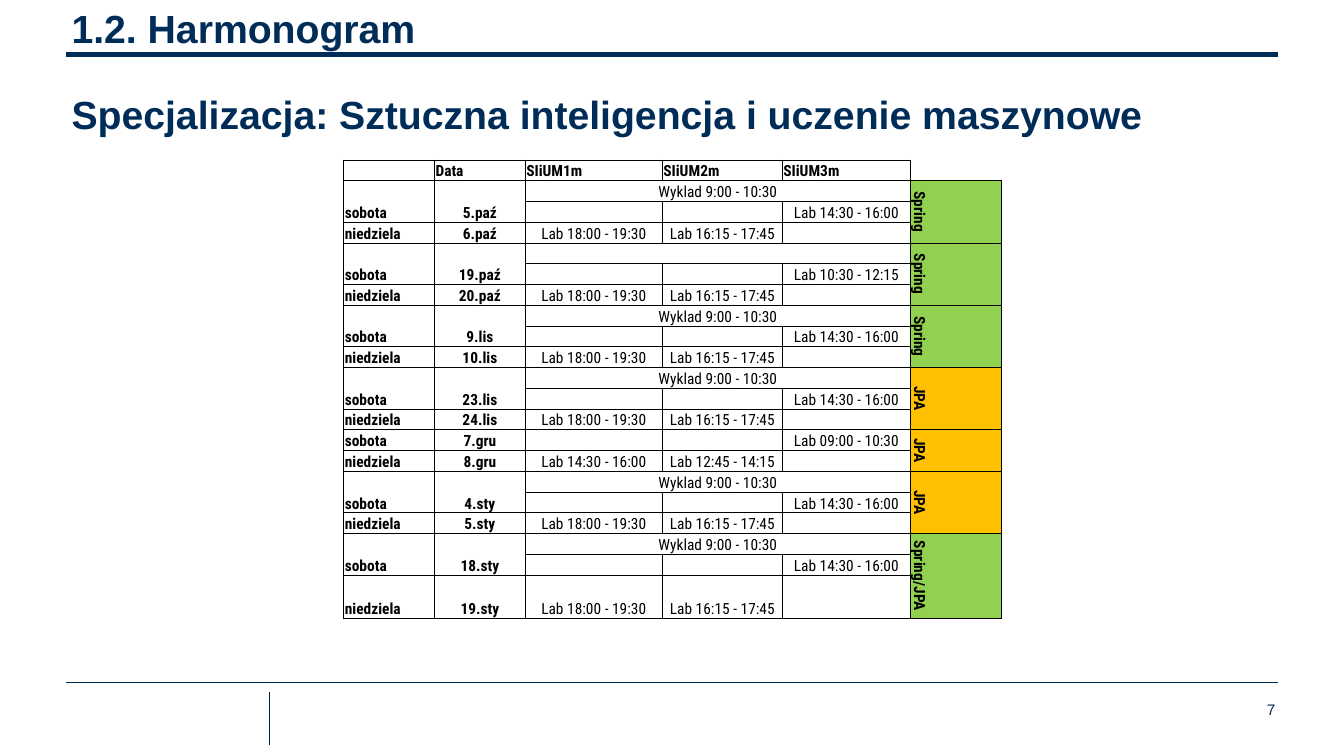
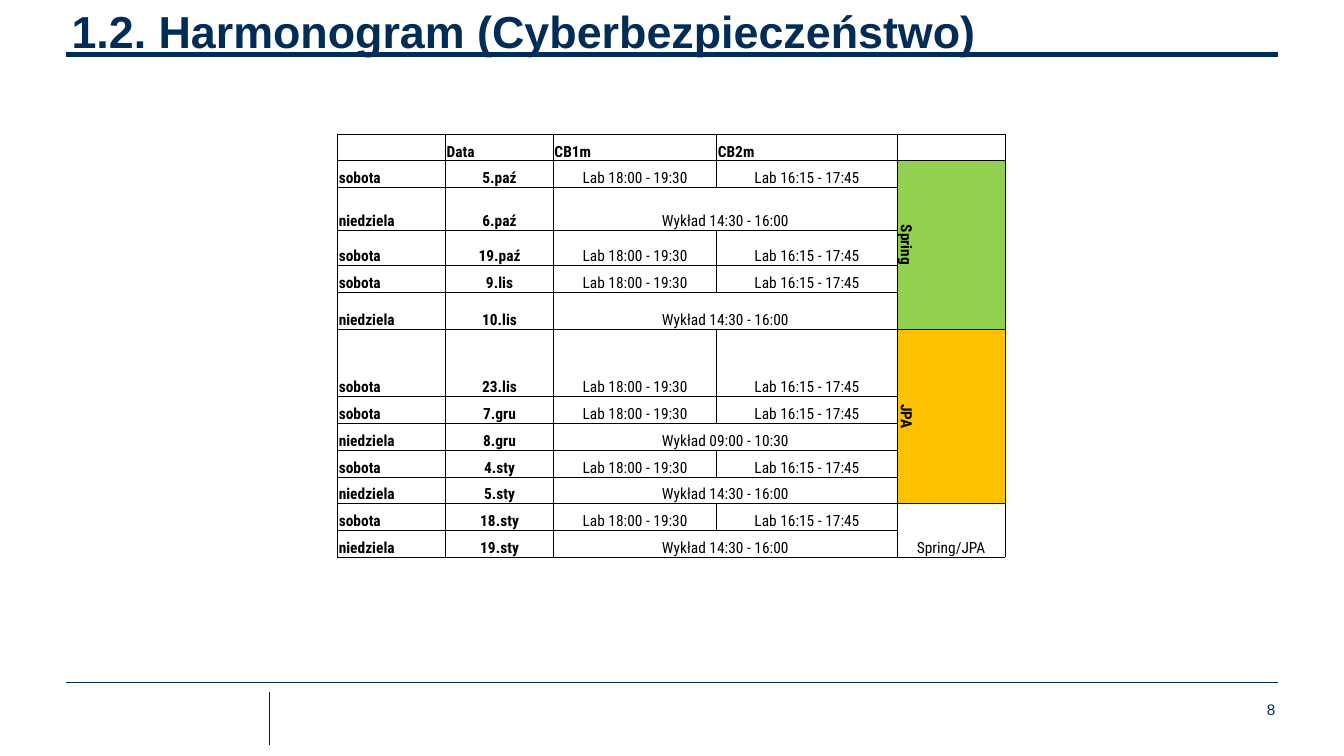
from dataclasses import dataclass

from lxml.etree import SubElement
from pptx import Presentation
from pptx.dml.color import RGBColor
from pptx.enum.shapes import MSO_CONNECTOR
from pptx.enum.text import MSO_ANCHOR, PP_ALIGN
from pptx.oxml.ns import qn
from pptx.util import Inches, Pt


@dataclass(frozen=True)
class Theme:
    navy: str = "002C58"
    divider: str = "002142"
    black: str = "000000"
    green: str = "92D050"
    amber: str = "FFC000"
    font: str = "Arial"
    table_font: str = "Roboto Condensed"
    page_size: float = 10.9
    table_size: float = 11
    border: float = 0.5
    thin: float = 0.75
    thick: float = 4


@dataclass(frozen=True)
class Entry:
    row: int
    col: int
    text: str
    rows: int = 1
    cols: int = 1
    bold: bool = False
    align: PP_ALIGN = PP_ALIGN.CENTER
    fill: str = ""
    vertical: bool = False


T = Theme()
NO_STYLE = "{2D5ABB26-0587-4C30-8999-92F81FD0307C}"
SPRING = ("Spring", T.green)
JPA = ("JPA", T.amber)
LAB_1, LAB_2, LAB_3 = "Lab 18:00 - 19:30", "Lab 16:15 - 17:45", "Lab 14:30 - 16:00"
LECTURE_AI = "Wyklad 9:00 - 10:30"
LECTURE_CB = "Wykład 14:30 - 16:00"

AI_WEEKENDS = [
    ("5.paź", "6.paź", SPRING, LECTURE_AI, LAB_3, LAB_1, LAB_2),
    ("19.paź", "20.paź", SPRING, "", "Lab 10:30 - 12:15", LAB_1, LAB_2),
    ("9.lis", "10.lis", SPRING, LECTURE_AI, LAB_3, LAB_1, LAB_2),
    ("23.lis", "24.lis", JPA, LECTURE_AI, LAB_3, LAB_1, LAB_2),
    ("7.gru", "8.gru", JPA, None, "Lab 09:00 - 10:30",
     "Lab 14:30 - 16:00", "Lab 12:45 - 14:15"),
    ("4.sty", "5.sty", JPA, LECTURE_AI, LAB_3, LAB_1, LAB_2),
    ("18.sty", "19.sty", ("Spring/JPA", T.green), LECTURE_AI, LAB_3, LAB_1, LAB_2),
]

CB_DAYS = [
    ("sobota", "5.paź", None),
    ("niedziela", "6.paź", LECTURE_CB),
    ("sobota", "19.paź", None),
    ("sobota", "9.lis", None),
    ("niedziela", "10.lis", LECTURE_CB),
    ("sobota", "23.lis", None),
    ("sobota", "7.gru", None),
    ("niedziela", "8.gru", "Wykład 09:00 - 10:30"),
    ("sobota", "4.sty", None),
    ("niedziela", "5.sty", LECTURE_CB),
    ("sobota", "18.sty", None),
    ("niedziela", "19.sty", LECTURE_CB),
]


def style_runs(p, size, color, font, bold=False):
    for r in p.runs:
        r.font.size = Pt(size)
        r.font.name = font
        r.font.bold = bold
        r.font.color.rgb = RGBColor.from_string(color)


def add_line(slide, x1, y1, x2, y2, color, width):
    line = slide.shapes.add_connector(
        MSO_CONNECTOR.STRAIGHT, Inches(x1), Inches(y1), Inches(x2), Inches(y2))
    line.line.color.rgb = RGBColor.from_string(color)
    line.line.width = Pt(width)
    SubElement(line._element.spPr, qn("a:effectLst"))


def add_text(slide, box, lines, size, bold=False, align=PP_ALIGN.LEFT, gap=0):
    tf = slide.shapes.add_textbox(*map(Inches, box)).text_frame
    tf.word_wrap = True
    tf.vertical_anchor = MSO_ANCHOR.TOP
    tf.margin_left = tf.margin_right = tf.margin_top = tf.margin_bottom = 0
    for i, text in enumerate(lines):
        p = tf.add_paragraph() if i else tf.paragraphs[0]
        p.text = text
        p.alignment = align
        if i:
            p.space_before = Pt(gap)
        style_runs(p, size, T.navy, T.font, bold)


def add_frame(slide, title, title_size, number):
    add_line(slide, 0.65, 6.77, 12.68, 6.77, T.navy, T.thin)
    add_line(slide, 0.65, 0.54, 12.68, 0.54, T.navy, T.thick)
    add_text(slide, (11.96, 6.95, 0.69, 0.18), [str(number)], T.page_size,
             align=PP_ALIGN.RIGHT)
    add_text(slide, (0.71, 0.04, 11.44, 0.49), title, title_size, bold=True, gap=28)
    add_line(slide, 2.67, 6.87, 2.67, 7.39, T.divider, T.thin)


def set_borders(cell, sides):
    tcPr = cell._tc.get_or_add_tcPr()
    for side in "LRTB":
        ln = SubElement(tcPr, qn(f"a:ln{side}"), w=str(Pt(T.border)))
        if side in sides:
            fill = SubElement(ln, qn("a:solidFill"))
            SubElement(fill, qn("a:srgbClr"), val=T.black)
        else:
            SubElement(ln, qn("a:noFill"))


def fill_cell(table, entry):
    cell = table.cell(entry.row, entry.col)
    if entry.rows > 1 or entry.cols > 1:
        cell.merge(table.cell(entry.row + entry.rows - 1, entry.col + entry.cols - 1))
    p = cell.text_frame.paragraphs[0]
    p.alignment = entry.align
    if entry.text:
        p.text = entry.text
        style_runs(p, T.table_size, T.black, T.table_font, entry.bold)
    if entry.fill:
        cell.fill.solid()
        cell.fill.fore_color.rgb = RGBColor.from_string(entry.fill)
    if entry.vertical:
        cell.vertical_anchor = MSO_ANCHOR.MIDDLE
        cell._tc.tcPr.set("vert", "vert")


def add_schedule(slide, box, widths, row_count, tall_rows, entries, open_cells):
    shape = slide.shapes.add_table(row_count, len(widths), *map(Inches, box))
    table = shape.table
    table.first_row = table.horz_banding = False
    table._tbl.tblPr.find(qn("a:tableStyleId")).text = NO_STYLE
    for column, width in zip(table.columns, widths):
        column.width = Inches(width)
    even = (box[3] - sum(tall_rows.values())) / (row_count - len(tall_rows))
    for i, row in enumerate(table.rows):
        row.height = Inches(tall_rows.get(i, even))
        for j, cell in enumerate(row.cells):
            set_borders(cell, open_cells.get((i, j), "LRTB"))
            cell.fill.background()
            cell.vertical_anchor = MSO_ANCHOR.BOTTOM
            cell.margin_left = cell.margin_right = cell.margin_top = Inches(0.01)
            cell.margin_bottom = 0
            SubElement(cell.text_frame.paragraphs[0]._p, qn("a:endParaRPr"),
                       sz=str(int(T.table_size * 100)))
    for entry in entries:
        fill_cell(table, entry)


def header_entries(row, labels):
    return [Entry(row, col, text, bold=True, align=PP_ALIGN.LEFT)
            for col, text in enumerate(labels, 1)]


def day_entries(row, day, date, rows=1):
    return [Entry(row, 0, day, rows, bold=True, align=PP_ALIGN.LEFT),
            Entry(row, 1, date, rows, bold=True)]


def topic_entry(row, col, rows, topic):
    name, color = topic
    return Entry(row, col, name, rows, bold=True, fill=color, vertical=True)


def ai_slide(prs, number):
    slide = prs.slides.add_slide(prs.slide_layouts[6])
    add_frame(slide, ["1.2. Harmonogram",
                      "Specjalizacja: Sztuczna inteligencja i uczenie maszynowe"],
              28, number)
    entries = header_entries(1, ["Data", "SIiUM1m", "SIiUM2m", "SIiUM3m"])
    row = 2
    for saturday, sunday, topic, lecture, lab_3, lab_1, lab_2 in AI_WEEKENDS:
        saturday_rows = 1 if lecture is None else 2
        last = row + saturday_rows
        entries += day_entries(row, "sobota", saturday, saturday_rows)
        if lecture is not None:
            entries.append(Entry(row, 2, lecture, cols=3))
        entries += day_entries(last, "niedziela", sunday)
        entries += [Entry(last - 1, 4, lab_3), Entry(last, 2, lab_1),
                    Entry(last, 3, lab_2),
                    topic_entry(row, 5, saturday_rows + 1, topic)]
        row = last + 1
    open_cells = {(0, col): "B" for col in range(5)} | {(0, 5): "", (1, 5): "LB"}
    add_schedule(slide, (3.41, 1.38, 6.51, 4.76), [0.9, 0.9, 1.36, 1.19, 1.27, 0.9],
                 row, {row - 1: 0.43}, entries, open_cells)


def cb_slide(prs, number):
    slide = prs.slides.add_slide(prs.slide_layouts[6])
    add_frame(slide, ["1.2. Harmonogram (Cyberbezpieczeństwo)"], 32, number)
    entries = header_entries(0, ["Data", "CB1m", "CB2m"])
    for row, (day, date, lecture) in enumerate(CB_DAYS, 1):
        entries += day_entries(row, day, date)
        if lecture:
            entries.append(Entry(row, 2, lecture, cols=2))
        else:
            entries += [Entry(row, 2, LAB_1), Entry(row, 3, LAB_2)]
    entries += [topic_entry(1, 4, 5, SPRING), topic_entry(6, 4, 5, JPA),
                Entry(11, 4, "Spring/JPA", rows=2)]
    add_schedule(slide, (3.35, 1.33, 6.63, 4.2), [1.07, 1.07, 1.62, 1.79, 1.07],
                 len(CB_DAYS) + 1, {2: 0.42, 3: 0.35, 5: 0.37, 6: 0.67}, entries, {})


def main():
    prs = Presentation()
    prs.slide_width, prs.slide_height = Inches(13.33), Inches(7.5)
    for number, build in enumerate([ai_slide, cb_slide], 7):
        build(prs, number)
    prs.save("out.pptx")


if __name__ == "__main__":
    main()
